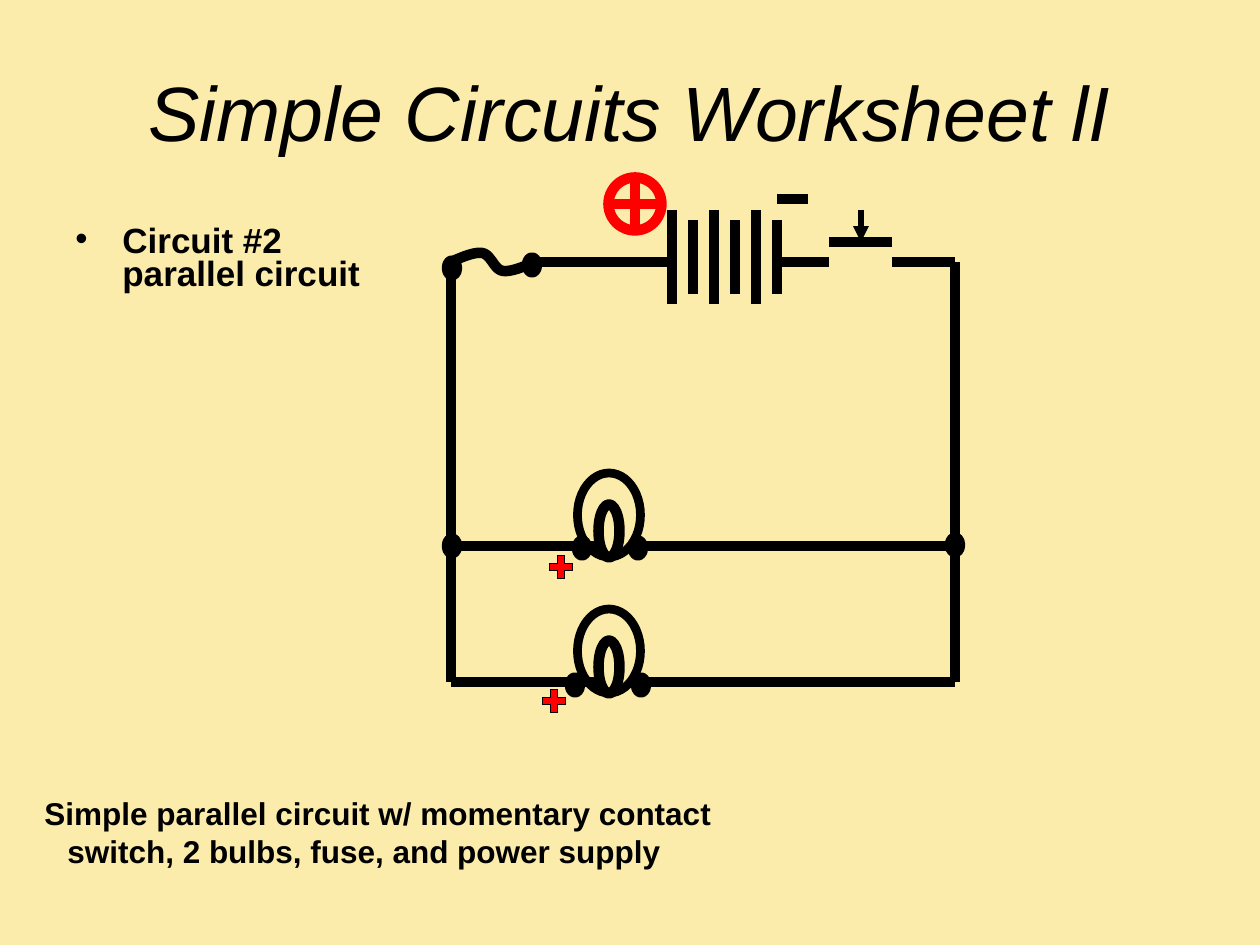
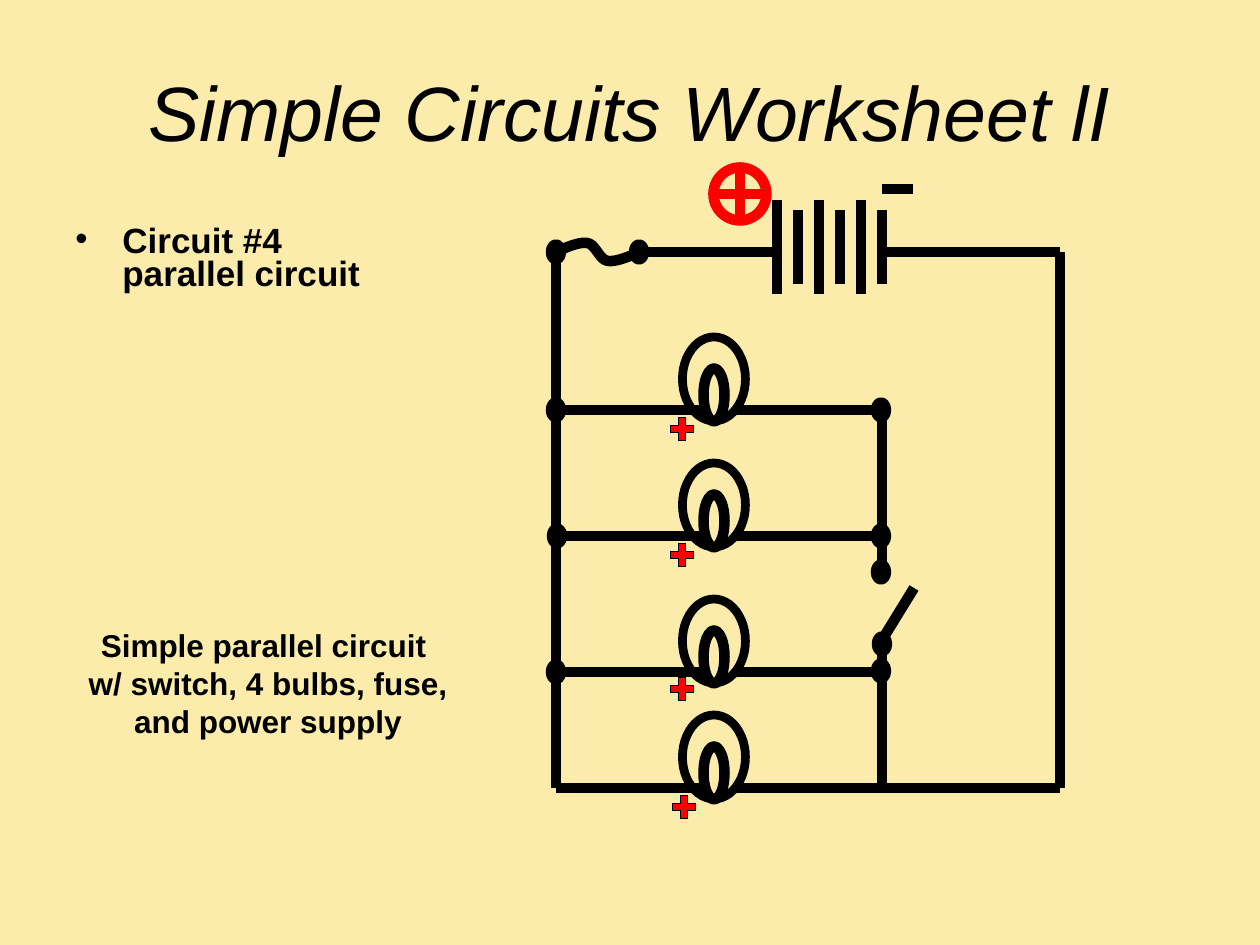
from lxml import etree
from pptx import Presentation
from pptx.dml.color import RGBColor
from pptx.enum.shapes import MSO_CONNECTOR, MSO_SHAPE
from pptx.enum.text import MSO_ANCHOR, PP_ALIGN
from pptx.oxml.ns import qn
from pptx.util import Emu, Pt

STRAIGHT = MSO_CONNECTOR.STRAIGHT
OVAL, DOT = MSO_SHAPE.OVAL, MSO_SHAPE.FLOWCHART_CONNECTOR
CROSSED_CIRCLE, PLUS = MSO_SHAPE.FLOWCHART_OR, MSO_SHAPE.MATH_PLUS
LEFT, CENTER = PP_ALIGN.LEFT, PP_ALIGN.CENTER
TOP, MIDDLE = MSO_ANCHOR.TOP, MSO_ANCHOR.MIDDLE

EMU_PER_PX = 914400 / 126
CREAM, BLACK, RED = "FBECAB", "000000", "FF0000"
FONT = "Arial"
WIRE_WIDTH = 6

TITLE = "Simple Circuits Worksheet lI"
TITLE_BOX = (63, 32, 1134, 158)
HEADING_BOX = (63, 220, 462, 84)
HEADING_INDENT = 47

CIRCUITS = [
    {
        "heading": "Circuit #2\nparallel circuit",
        "note": ["Simple parallel circuit w/ momentary contact",
                 "switch, 2 bulbs, fuse, and power supply"],
        "note_box": (32, 788, 700, 88), "note_align": LEFT, "note_indent": 23,
        "battery": (672, 262),
        "fuse": (451, 262),
        "bulb_x": 609,
        # wire height, left end, right end
        "bulb_wires": [(546, 451, 955), (682, 451, 955)],
        "wires": [(535, 262, 672, 262), (777, 262, 829, 262),
                  (892, 262, 955, 262), (451, 262, 451, 682),
                  (955, 262, 955, 682), (892, 242, 829, 242)],
        "push_arrow": (861, 210, 861, 242),
        "dots": [(452, 268), (532, 265), (582, 548), (638, 548),
                 (955, 545), (452, 546), (575, 685), (641, 685)],
        "pluses": [(561, 567), (554, 701)],
    },
    {
        "heading": "Circuit #4\nparallel circuit",
        "note": ["Simple parallel circuit \n"
                 "w/ switch, 4 bulbs, fuse, and power supply"],
        "note_box": (63, 620, 410, 126), "note_align": CENTER, "note_indent": 0,
        "battery": (777, 252),
        "fuse": (556, 252),
        "bulb_x": 714,
        "bulb_wires": [(410, 556, 882), (536, 556, 882),
                       (672, 556, 882), (788, 556, 1060)],
        "wires": [(640, 252, 777, 252), (882, 252, 1060, 252),
                  (556, 252, 556, 788), (1060, 252, 1060, 788),
                  (882, 410, 882, 578), (914, 588, 882, 640),
                  (882, 640, 882, 788)],
        "push_arrow": None,
        "dots": [(556, 252), (639, 252), (556, 410), (881, 410),
                 (557, 536), (881, 536), (881, 572), (882, 644),
                 (556, 672), (881, 671)],
        "pluses": [(682, 429), (682, 555), (682, 689), (684, 807)],
    },
]

# Fuse outline as cubic curves, measured from its left end
FUSE_CURVES = [
    ((0, 0), (11, -5), (23, -10), (31, -9)),
    ((31, -9), (40, -8), (43, 8), (52, 9)),
    ((52, 9), (60, 10), (72, 5), (84, 0)),
]
CURVE_STEPS = 10


def px(length):
    return Emu(round(length * EMU_PER_PX))


def color(hex_string):
    return RGBColor.from_string(hex_string)


def add_text(slide, box, paragraphs, size, align=LEFT, anchor=TOP,
             bold=False, italic=False):
    """Add a text box; a newline inside a paragraph is a line break."""
    frame = slide.shapes.add_textbox(*map(px, box)).text_frame
    frame.word_wrap = True
    frame.vertical_anchor = anchor
    for index, text in enumerate(paragraphs):
        paragraph = frame.add_paragraph() if index else frame.paragraphs[0]
        paragraph.alignment = align
        for number, line in enumerate(text.split("\n")):
            if number:
                paragraph.add_line_break()
            run = paragraph.add_run()
            run.text = line
            font = run.font
            font.name, font.size = FONT, Pt(size)
            font.bold, font.italic = bold, italic
            font.color.rgb = color(BLACK)
    return frame


def set_indent(paragraph, left, first=0):
    properties = paragraph._p.get_or_add_pPr()
    properties.set("marL", str(px(left)))
    properties.set("indent", str(px(first)))
    return properties


def add_heading(slide, text):
    frame = add_text(slide, HEADING_BOX, [text], 20, bold=True)
    paragraph = frame.paragraphs[0]
    paragraph.line_spacing = 0.8
    properties = set_indent(paragraph, HEADING_INDENT, -HEADING_INDENT)
    etree.SubElement(properties, qn("a:buFont")).set("typeface", FONT)
    etree.SubElement(properties, qn("a:buChar")).set("char", "•")


def add_wire(slide, ends, width=WIRE_WIDTH, arrow=False):
    wire = slide.shapes.add_connector(STRAIGHT, *map(px, ends))
    wire.line.color.rgb = color(BLACK)
    wire.line.width = Pt(width)
    if arrow:
        line = wire.line._get_or_add_ln()
        etree.SubElement(line, qn("a:tailEnd")).set("type", "triangle")
    etree.SubElement(wire._element.spPr, qn("a:effectLst"))


def style_shape(shape, line, width, fill=None):
    shape.shadow.inherit = False
    if fill:
        shape.fill.solid()
        shape.fill.fore_color.rgb = color(fill)
    else:
        shape.fill.background()
    shape.line.color.rgb = color(line)
    shape.line.width = Pt(width)


def add_symbol(slide, kind, center, size, line=BLACK, width=WIRE_WIDTH, fill=None):
    (x, y), (w, h) = center, size
    box = (x - w / 2, y - h / 2, w, h)
    shape = slide.shapes.add_shape(kind, *map(px, box))
    style_shape(shape, line, width, fill)


def add_battery(slide, left, y):
    """Draw six alternating plates with the polarity signs above them."""
    for index in range(6):
        x = left + 21 * index
        top, bottom = (-42, 32) if index % 2 else (-52, 42)
        add_wire(slide, (x, y + top, x, y + bottom))
    add_symbol(slide, CROSSED_CIRCLE, (left - 37, y - 58), (53, 53), line=RED)
    add_wire(slide, (left + 105, y - 63, left + 136, y - 63))


def curve_point(curve, t):
    weights = ((1 - t) ** 3, 3 * t * (1 - t) ** 2, 3 * t * t * (1 - t), t ** 3)
    return [sum(w * point[axis] for w, point in zip(weights, curve))
            for axis in (0, 1)]


def add_fuse(slide, left, y):
    points = [curve_point(curve, step / CURVE_STEPS)
              for curve in FUSE_CURVES for step in range(1, CURVE_STEPS + 1)]
    builder = slide.shapes.build_freeform(px(left), px(y))
    builder.add_line_segments([(px(left + dx), px(y + dy)) for dx, dy in points],
                              close=False)
    style_shape(builder.convert_to_shape(), BLACK, WIRE_WIDTH)


def add_bulb(slide, x, wire_y, left, right):
    """Draw a bulb and the wire on both sides of it."""
    add_wire(slide, (left, wire_y, x - 10, wire_y))
    add_wire(slide, (x + 21, wire_y, right, wire_y))
    add_symbol(slide, OVAL, (x, wire_y - 31), (63, 84), width=5)
    add_symbol(slide, OVAL, (x, wire_y - 15), (21, 53))


def add_circuit_slide(presentation, circuit):
    slide = presentation.slides.add_slide(presentation.slide_layouts[6])
    slide.background.fill.solid()
    slide.background.fill.fore_color.rgb = color(CREAM)
    add_text(slide, TITLE_BOX, [TITLE], 44, CENTER, MIDDLE, italic=True)
    add_heading(slide, circuit["heading"])
    note = add_text(slide, circuit["note_box"], circuit["note"], 18,
                    circuit["note_align"], bold=True)
    for paragraph in note.paragraphs[1:]:
        set_indent(paragraph, circuit["note_indent"])

    add_battery(slide, *circuit["battery"])
    add_fuse(slide, *circuit["fuse"])
    for ends in circuit["wires"]:
        add_wire(slide, ends)
    for bulb_wire in circuit["bulb_wires"]:
        add_bulb(slide, circuit["bulb_x"], *bulb_wire)
    if circuit["push_arrow"]:
        add_wire(slide, circuit["push_arrow"], width=3, arrow=True)
    for center in circuit["dots"]:
        add_symbol(slide, DOT, center, (10, 15))
    for center in circuit["pluses"]:
        add_symbol(slide, PLUS, center, (32, 32), width=0, fill=RED)


def main():
    presentation = Presentation()
    presentation.slide_width, presentation.slide_height = px(1260), px(945)
    for circuit in CIRCUITS:
        add_circuit_slide(presentation, circuit)
    presentation.save("out.pptx")


if __name__ == "__main__":
    main()
